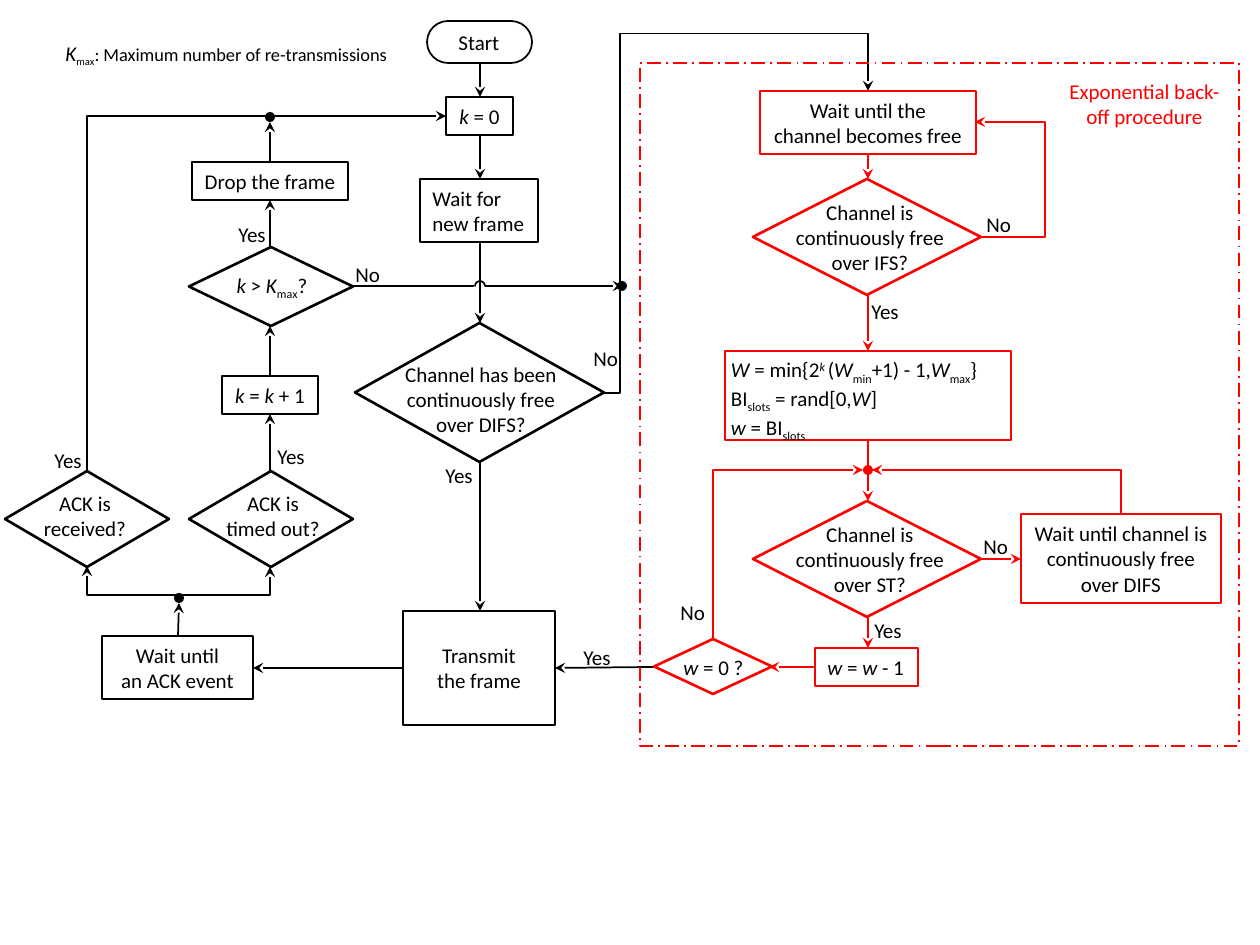
from lxml import etree
from pptx import Presentation
from pptx.dml.color import RGBColor
from pptx.enum import dml, shapes, text
from pptx.oxml.ns import qn
from pptx.util import Emu, Pt

PX = 914400 // 126
BLACK = RGBColor(0, 0, 0)
RED = RGBColor(255, 0, 0)
CENTER, LEFT = text.PP_ALIGN.CENTER, text.PP_ALIGN.LEFT
SHAPE = shapes.MSO_SHAPE


class Flowchart:
    """Draws flowchart parts in px; in text, | splits spans marked / italic, _ subscript, ^ raised italic."""

    font, size = "Calibri", 12
    scripts = {"_": "-25000", "^": "30000"}

    def __init__(self, page):
        self.page = page

    def lengths(self, values):
        return [Emu(round(value * PX)) for value in values]

    def set_text(self, box, paragraphs, color=BLACK, align=CENTER, wrap=False):
        frame = box.text_frame
        frame.word_wrap = wrap
        for index, content in enumerate(paragraphs):
            para = frame.add_paragraph() if index else frame.paragraphs[0]
            para.alignment = align
            for piece in content.split("|"):
                mark = piece[0] if piece[0] in "/_^" else ""
                for row, line in enumerate(piece[len(mark):].split("\n")):
                    if row:
                        para.add_line_break()
                    span = para.add_run()
                    span.text = line
                    span.font.name, span.font.size = self.font, Pt(self.size)
                    span.font.color.rgb = color
                    span.font.italic = mark in ("/", "^")
                    if mark in self.scripts:
                        span.font._element.set("baseline", self.scripts[mark])
            for line_break in para._p.findall(qn("a:br")):
                etree.SubElement(line_break, qn("a:rPr"), sz=str(self.size * 100))

    def shape(self, kind, frame, color=BLACK, width=1.5):
        shape = self.page.shapes.add_shape(kind, *self.lengths(frame))
        shape.shadow.inherit = False
        shape.fill.background()
        shape.line.color.rgb = color
        shape.line.width = Pt(width)
        return shape

    def label(self, frame, content, **style):
        box = self.page.shapes.add_textbox(*self.lengths(frame))
        self.set_text(box, [content], **style)
        return box

    def step(self, frame, *paragraphs, color=BLACK, **style):
        box = self.shape(SHAPE.RECTANGLE, frame, color)
        box.text_frame.vertical_anchor = text.MSO_ANCHOR.MIDDLE
        self.set_text(box, paragraphs, **style)
        return box

    def decision(self, frame, label_frame, content, color=BLACK):
        self.shape(SHAPE.DIAMOND, frame, color)
        self.label(label_frame, content)

    def answer(self, word, left, top):
        self.label((left, top, 53 if word == "Yes" else 50, 38), word, align=LEFT)

    def dot(self, x, y, color=BLACK):
        dot = self.shape(SHAPE.OVAL, (x - 5, y - 5, 10, 10), color)
        dot.fill.solid()
        dot.fill.fore_color.rgb = color
        dot.line.fill.background()

    def arrow(self, start, end, color=BLACK, heads=("tailEnd",),
              kind=shapes.MSO_CONNECTOR.STRAIGHT):
        arrow = self.page.shapes.add_connector(kind, *self.lengths((*start, *end)))
        arrow.line.color.rgb = color
        arrow.line.width = Pt(1)
        outline = arrow.line._get_or_add_ln()
        for head in heads:
            etree.SubElement(outline, qn("a:" + head), type="stealth")
        etree.SubElement(arrow._element.spPr, qn("a:effectLst"))
        return arrow

    def elbow(self, start, end, bends=(), color=BLACK, upward=False, heads=("tailEnd",)):
        if upward:
            (x1, y1), (x2, y2) = start, end
            x, y, half_w, half_h = (x1 + x2) / 2, (y1 + y2) / 2, (y1 - y2) / 2, (x2 - x1) / 2
            start, end = (x - half_w, y - half_h), (x + half_w, y + half_h)
        arrow = self.arrow(start, end, color, heads, shapes.MSO_CONNECTOR.ELBOW)
        properties = arrow._element.spPr
        if upward:
            properties.find(qn("a:xfrm")).set("rot", str(270 * 60000))
        geometry = properties.find(qn("a:prstGeom"))
        geometry.set("prst", f"bentConnector{len(bends) + 2}")
        guides = geometry.find(qn("a:avLst"))
        for number, bend in enumerate(bends, 1):
            etree.SubElement(guides, qn("a:gd"), name=f"adj{number}",
                             fmla=f"val {round(bend * 100000)}")


def draw_transmission(chart):
    """Draw the sending and acknowledgement steps."""
    start = chart.shape(SHAPE.ROUNDED_RECTANGLE, (427, 21, 105, 42), width=1)
    start.adjustments[0] = 0.5
    chart.label((446, 23, 67, 38), "Start", align=LEFT)
    chart.step((446, 97, 67, 38), "/k| = 0")
    chart.step((420, 179, 118, 63), "Wait for\nnew frame", align=LEFT)
    chart.step((403, 611, 152, 114), "Transmit\nthe frame")
    chart.step((102, 636, 151, 63), "Wait until\nan ACK event")
    chart.step((222, 376, 96, 38), "/k| = |/k| + 1")
    chart.step((192, 162, 156, 38), "Drop the frame")
    chart.decision((355, 323, 249, 139), (392, 355, 178, 89),
                   "Channel has been\ncontinuously free\nover DIFS?")
    chart.decision((5, 471, 164, 96), (31, 484, 108, 63), "ACK is\nreceived?")
    chart.decision((189, 471, 164, 96), (213, 484, 120, 63), "ACK is\ntimed out?")
    chart.decision((189, 247, 164, 79), (222, 266, 100, 38), "/k| > |/K|_max|?")
    note = chart.label((53, 34, 374, 38), "/K|_max|: Maximum number of re-transmissions",
                       align=LEFT, wrap=True)
    for span in note.text_frame.paragraphs[0].runs[1:]:
        span.font.size = Pt(10.5)

    for x, y in ((622, 286), (179, 598), (270, 117)):
        chart.dot(x, y)
    for top, bottom in ((63, 97), (135, 179), (242, 323), (462, 611)):
        chart.arrow((480, top), (480, bottom))
    for bottom, top in ((471, 414), (376, 326), (247, 200), (162, 122)):
        chart.arrow((270, bottom), (270, top))
    chart.arrow((178, 636), (179, 603))
    chart.arrow((403, 668), (253, 668))
    chart.arrow((654, 667), (555, 668))
    chart.arrow((352, 286), (474, 286), heads=())
    chart.arrow((485, 286), (623, 286))
    bridge = chart.shape(SHAPE.ARC, (475, 281, 10, 10), width=1)
    bridge.adjustments[0], bridge.adjustments[1] = 162, 59.72
    bridge.rotation = 265.7
    chart.elbow((87, 471), (446, 116), upward=True)
    chart.elbow((270, 567), (87, 566), (-28,), upward=True, heads=("headEnd", "tailEnd"))
    chart.elbow((604, 393), (868, 91), (0.06, 1.19))


def draw_backoff(chart):
    """Draw the exponential back-off procedure."""
    region = chart.shape(SHAPE.RECTANGLE, (640, 63, 599, 683), RED, 1)
    region.line.dash_style = dml.MSO_LINE.LONG_DASH_DOT
    chart.label((1050, 72, 189, 63), "Exponential back-off procedure", color=RED, wrap=True)
    chart.step((760, 91, 216, 63), "Wait until the\nchannel becomes free", color=RED)
    chart.step((1021, 514, 200, 89), "Wait until channel is\ncontinuously free\nover DIFS",
               color=RED)
    chart.step((815, 648, 103, 38), "/w| = |/w |- 1", color=RED, align=LEFT)
    window = chart.step((725, 351, 286, 89),
                        "/W| = min{2|^k |(|/W|_min|+1) - 1,|/W|_max|}",
                        "BI|_slots| = rand[0,|/W|]", "/w| = BI|_slots",
                        color=RED, align=LEFT, wrap=True)
    frame = window.text_frame
    frame.vertical_anchor = text.MSO_ANCHOR.TOP
    (frame.margin_left, frame.margin_top,
     frame.margin_right, frame.margin_bottom) = chart.lengths((6, 6, 2, 6))
    for top, name in ((179, "IFS"), (501, "ST")):
        chart.decision((753, top, 228, 116), (781, top + 14, 178, 89),
                       f"Channel is\ncontinuously free\nover {name}?", RED)
    chart.decision((654, 639, 118, 55), (670, 648, 87, 38), "/w| = 0 ?", RED)

    chart.dot(868, 470, RED)
    for top, bottom in ((154, 179), (295, 351), (440, 501), (617, 648)):
        chart.arrow((868, top), (868, bottom), RED)
    chart.arrow((981, 559), (1021, 559), RED)
    chart.arrow((815, 667), (769, 667), RED)
    chart.elbow((981, 237), (975, 122), (-10.67,), RED)
    chart.elbow((1121, 514), (872, 470), color=RED, upward=True)
    chart.elbow((713, 639), (863, 470), color=RED, upward=True)


def main():
    """Build the slide and save it."""
    deck = Presentation()
    deck.slide_width, deck.slide_height = Emu(9144000), Emu(6858000)
    chart = Flowchart(deck.slides.add_slide(deck.slide_layouts[6]))
    draw_transmission(chart)
    draw_backoff(chart)
    for left, top in ((433, 456), (859, 292), (862, 611), (571, 638),
                      (226, 215), (265, 437), (42, 441)):
        chart.answer("Yes", left, top)
    for left, top in ((581, 339), (974, 205), (343, 255), (971, 527), (668, 593)):
        chart.answer("No", left, top)
    deck.save("out.pptx")


if __name__ == "__main__":
    main()
